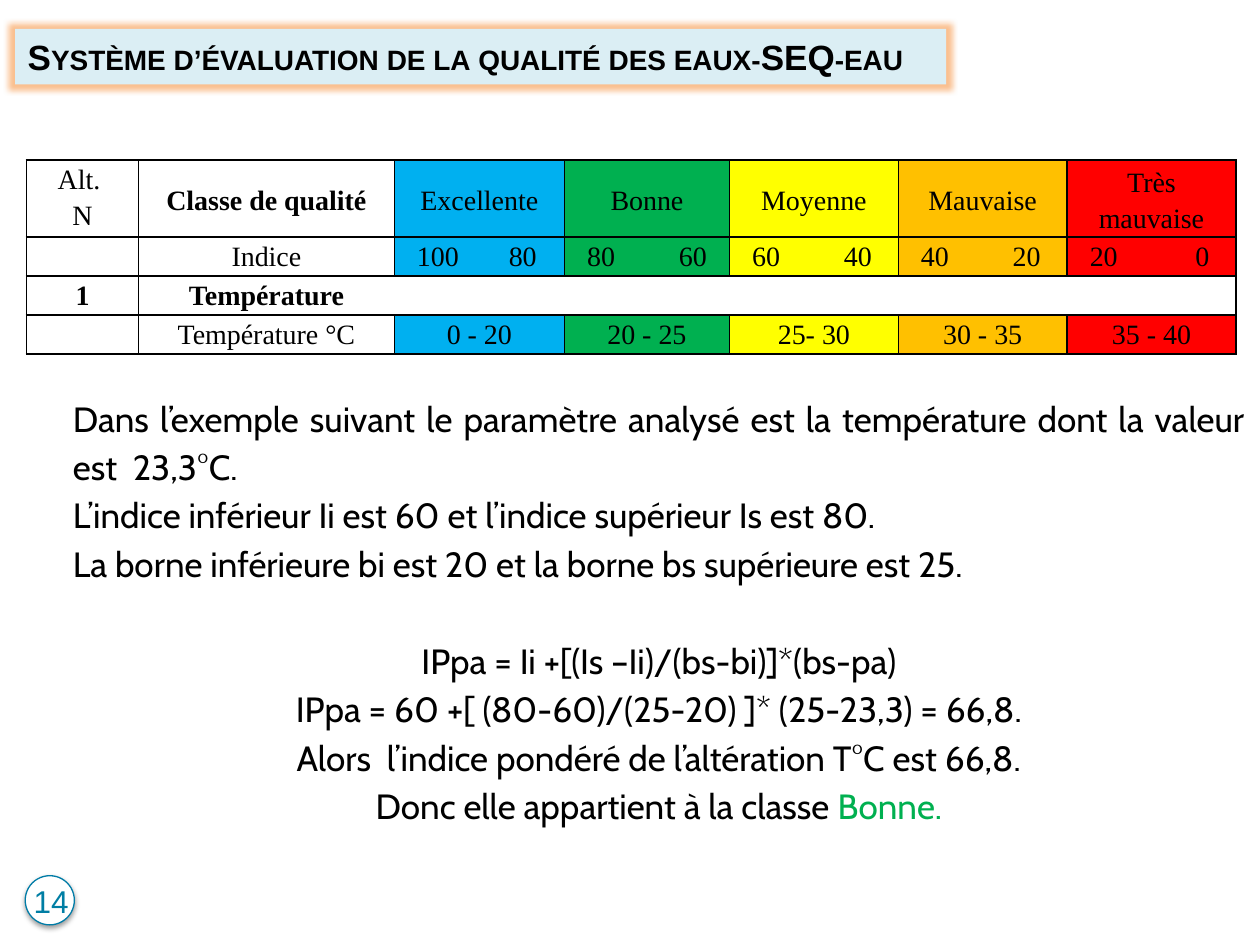
from dataclasses import dataclass
from typing import Optional

from lxml.etree import SubElement
from pptx import Presentation
from pptx.dml.color import RGBColor
from pptx.enum.shapes import MSO_SHAPE
from pptx.enum.text import MSO_ANCHOR, PP_ALIGN
from pptx.oxml.ns import qn
from pptx.util import Inches, Pt

HUES = {
    "black": "000000", "white": "FFFFFF", "pale": "DBEEF4", "glow": "F79646",
    "ring": "007CA7", "page": "007EA4", "blue": "00B0F0", "green": "00B050",
    "yellow": "FFFF00", "orange": "FFC000", "red": "FF0000",
}


@dataclass
class Grade:
    name: str
    high: int
    low: int
    span: str
    hue: str
    width: float


GRADES = [
    Grade("Excellente", 100, 80, "0 - 20", "blue", 1.35),
    Grade("Bonne", 80, 60, "20 - 25", "green", 1.31),
    Grade("Moyenne", 60, 40, "25- 30", "yellow", 1.34),
    Grade("Mauvaise", 40, 20, "30 - 35", "orange", 1.34),
    Grade("Très mauvaise", 20, 0, "35 - 40", "red", 1.34),
]
FACTS = [
    "Dans l’exemple suivant le paramètre analysé est la température dont la valeur est  23,3°C.",
    "L’indice inférieur Ii est 60 et l’indice supérieur Is est 80.",
    "La borne inférieure bi est 20 et la borne bs supérieure est 25.",
]
STEPS = [
    "IPpa = Ii +[(Is –Ii)/(bs-bi)]*(bs-pa)",
    "IPpa = 60 +[ (80-60)/(25-20) ]* (25-23,3) = 66,8.",
    "Alors  l’indice pondéré de l’altération T°C est 66,8.",
    "Donc elle appartient à la classe ",
]


def tint(hue: str) -> RGBColor:
    return RGBColor.from_string(HUES[hue])


def style(para, face: str, size: float, hue: str = "black", bold: bool = False) -> None:
    for run in para.runs:
        font = run.font
        font.name, font.size, font.bold = face, Pt(size), bold
        font.color.rgb = tint(hue)


def effect(shape, kind: str, hue: str, alpha: int, **attrs: str) -> None:
    """Give a shape a glow or an outer shadow; alpha is in percent."""
    shape.shadow.inherit = False
    group = shape._element.spPr.find(qn("a:effectLst"))
    node = SubElement(group, qn(f"a:{kind}"), **attrs)
    clr = SubElement(node, qn("a:srgbClr"), val=HUES[hue])
    SubElement(clr, qn("a:alpha"), val=str(alpha * 1000))


def border(cell, sides: str) -> None:
    """Draw the named sides (L, R, T, B) and clear the others."""
    props = cell._tc.get_or_add_tcPr()
    for side in "LRTB":
        line = SubElement(props, qn(f"a:ln{side}"), w=str(Pt(1)))
        if side in sides:
            fill = SubElement(line, qn("a:solidFill"))
            SubElement(fill, qn("a:srgbClr"), val=HUES["black"])
        else:
            SubElement(line, qn("a:noFill"))


def write(cell, text: str, bold: bool = False, hue: Optional[str] = None,
          sides: str = "LRTB") -> None:
    border(cell, sides)
    if hue:
        cell.fill.solid()
        cell.fill.fore_color.rgb = tint(hue)
    else:
        cell.fill.background()
    cell.margin_left = cell.margin_right = Inches(0.07)
    cell.margin_top = cell.margin_bottom = 0
    cell.text_frame.text = text
    for para in cell.text_frame.paragraphs:
        para.alignment = PP_ALIGN.CENTER
        para.line_spacing = 1.15
        style(para, "Times New Roman", 16, bold=bold)


def bounds(cell, grade: Grade) -> None:
    """Write the two index limits, the lower one on a right tab."""
    write(cell, f"{grade.high}\t{grade.low}", hue=grade.hue)
    cell.margin_left = Inches(0.18)
    para = cell.text_frame.paragraphs[0]
    para.alignment = PP_ALIGN.LEFT
    tabs = SubElement(para._p.get_or_add_pPr(), qn("a:tabLst"))
    SubElement(tabs, qn("a:tab"), pos=str(Inches(0.95)), algn="r")


def heading(slide) -> None:
    title = slide.shapes.title
    title.left, title.top = Inches(0.12), Inches(0.23)
    title.width, title.height = Inches(7.39), Inches(0.44)
    title.fill.solid()
    title.fill.fore_color.rgb = tint("pale")
    effect(title, "glow", "glow", 60, rad=str(Inches(0.09)))
    frame = title.text_frame
    frame.text = "Système d’évaluation de la qualité des eaux-SEQ-eau"
    frame.word_wrap = False
    frame.vertical_anchor = MSO_ANCHOR.MIDDLE
    para = frame.paragraphs[0]
    para.alignment = PP_ALIGN.LEFT
    style(para, "Arial", 20, bold=True)
    para.runs[0].font._element.set("cap", "small")


def scale(slide) -> None:
    widths = [0.89, 2.03] + [grade.width for grade in GRADES]
    table = slide.shapes.add_table(4, len(widths), Inches(0.21), Inches(1.27),
                                   Inches(9.6), Inches(1.53)).table
    table.first_row = table.horz_banding = False
    for col, width in zip(table.columns, widths):
        col.width = Inches(width)
    for row, height in zip(table.rows, [0.61, 0.31, 0.31, 0.31]):
        row.height = Inches(height)

    # Row labels
    labels = [("Alt. \nN", "Classe de qualité"), ("", "Indice"),
              ("1", "Température"), ("", "Température °C")]
    for row, (code, label) in enumerate(labels):
        write(table.cell(row, 0), code, bold=row == 2)
        write(table.cell(row, 1), label, bold=row in (0, 2),
              sides="LTB" if row == 2 else "LRTB")

    # Quality classes
    for col, grade in enumerate(GRADES, 2):
        write(table.cell(0, col), grade.name, hue=grade.hue)
        bounds(table.cell(1, col), grade)
        write(table.cell(2, col), "", sides="RTB" if grade is GRADES[-1] else "TB")
        write(table.cell(3, col), grade.span, hue=grade.hue)
    for col in range(1, len(widths)):
        table.cell(0, col).vertical_anchor = MSO_ANCHOR.MIDDLE


def example(slide) -> None:
    box = slide.shapes.add_textbox(Inches(0.48), Inches(3.04), Inches(9.5), Inches(3.58))
    frame = box.text_frame
    frame.word_wrap = True
    frame.vertical_anchor = MSO_ANCHOR.MIDDLE
    frame.text = "\n".join(FACTS + STEPS)
    for num, para in enumerate(frame.paragraphs):
        para.alignment = PP_ALIGN.JUSTIFY if num < len(FACTS) else PP_ALIGN.CENTER
        para.line_spacing = 1.15
        style(para, "Cabin", 20)
    frame.paragraphs[len(FACTS)].space_before = Pt(28)
    last = frame.paragraphs[-1]
    last.add_run().text = "Bonne."
    font = last.runs[-1].font
    font.name, font.size = "Cabin", Pt(20)
    font.color.rgb = tint("green")


def badge(slide) -> None:
    group = slide.shapes.add_group_shape()
    ring = group.shapes.add_shape(MSO_SHAPE.OVAL, Inches(0.2), Inches(6.95),
                                  Inches(0.39), Inches(0.39))
    ring.fill.solid()
    ring.fill.fore_color.rgb = tint("white")
    ring.line.color.rgb = tint("ring")
    ring.line.width = Pt(0.75)
    effect(ring, "outerShdw", "black", 38, blurRad=str(Pt(3.1)),
           dist=str(Pt(1.6)), dir="5400000", rotWithShape="0")
    box = group.shapes.add_textbox(Inches(0.15), Inches(6.95), Inches(0.51), Inches(0.4))
    box.text_frame.word_wrap = True
    box.text_frame.text = "14"
    para = box.text_frame.paragraphs[0]
    para.alignment = PP_ALIGN.CENTER
    style(para, "Arial", 18, "page")


def main() -> None:
    deck = Presentation()
    deck.slide_width, deck.slide_height = Inches(10), Inches(7.5)
    slide = deck.slides.add_slide(deck.slide_layouts[5])
    heading(slide)
    scale(slide)
    example(slide)
    badge(slide)
    deck.save("out.pptx")


if __name__ == "__main__":
    main()
